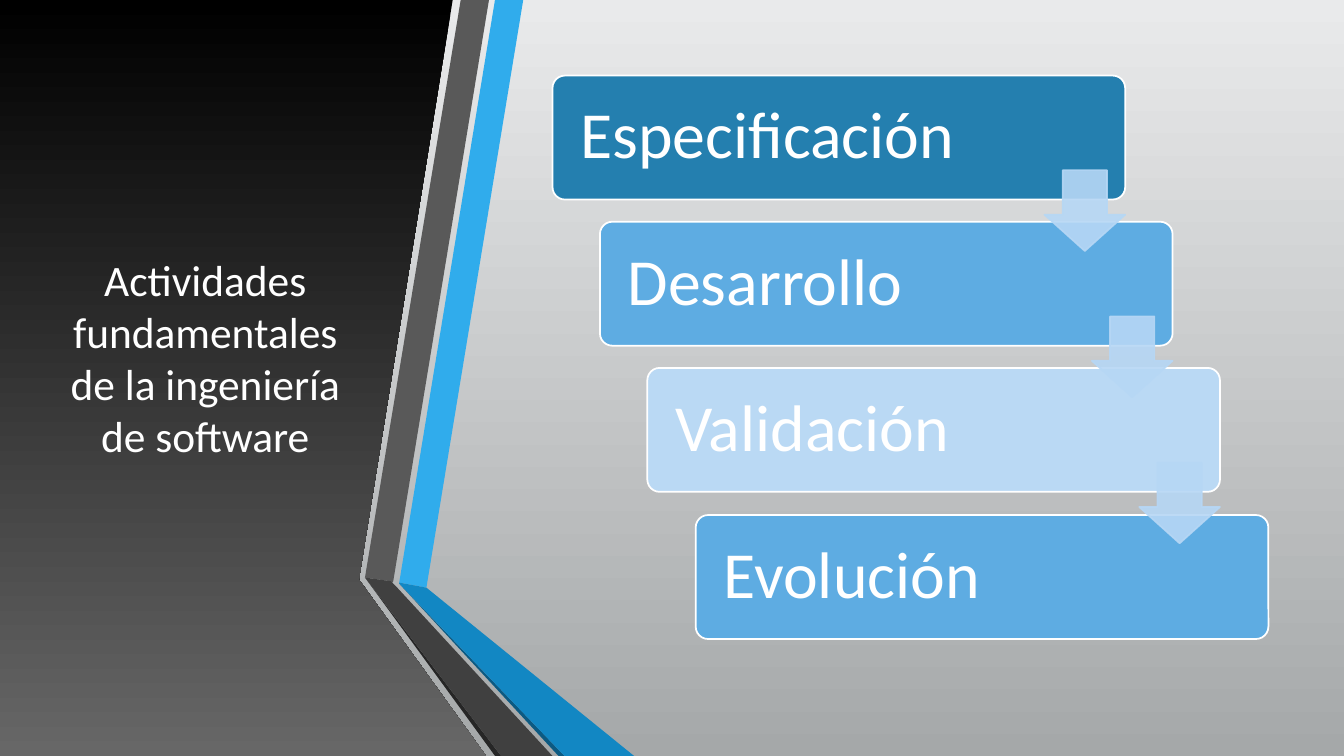
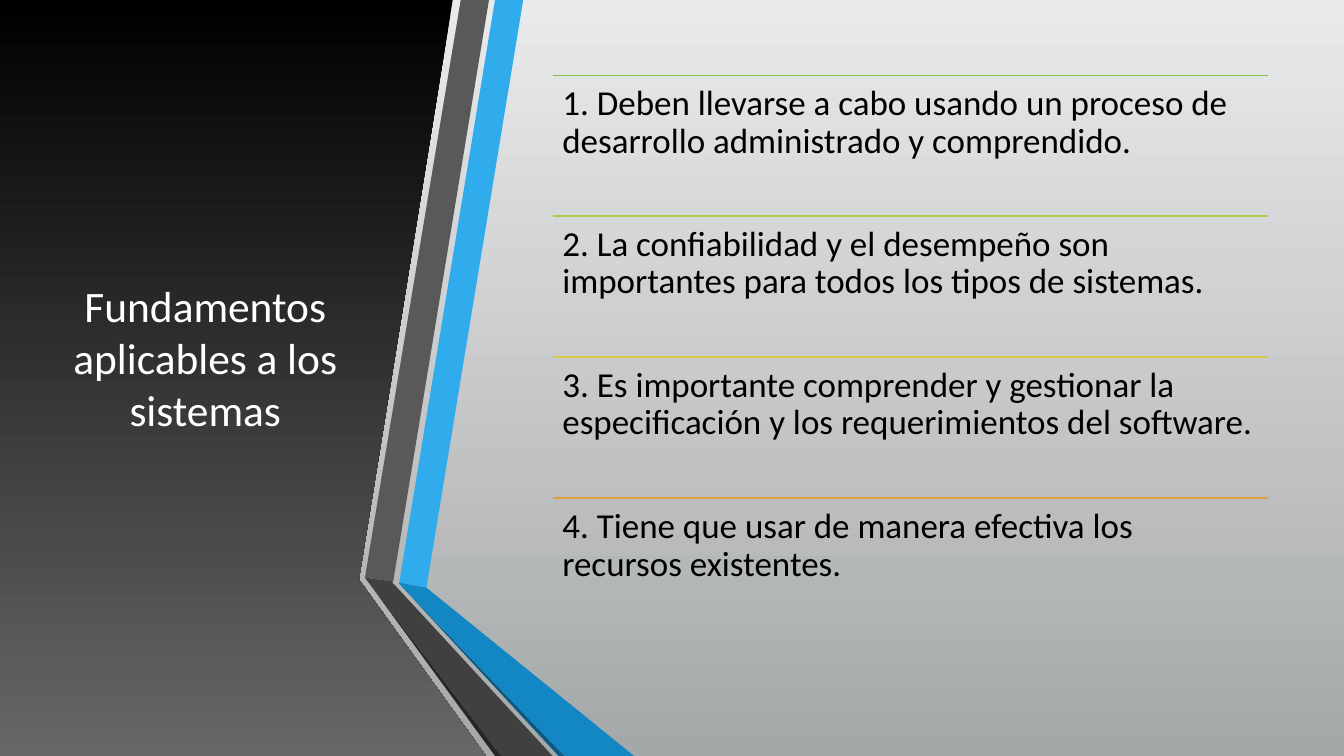
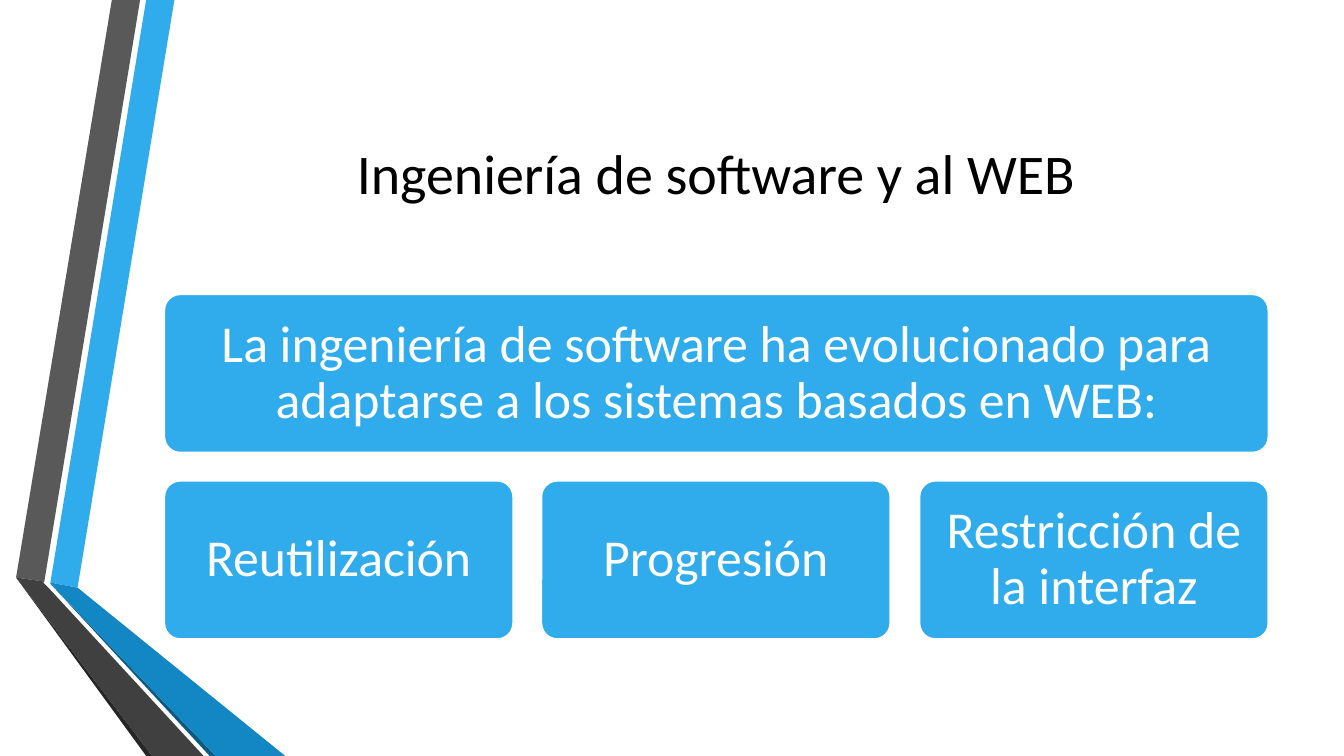
import pptx
import pptx.util
import pptx.dml.color
import pptx.enum.shapes
import pptx.enum.text
import pptx.oxml.ns
import lxml.etree

PX = 9144
FONT = "Calibri"
HUES = {
    "white": "FFFFFF", "black": "000000", "pale": "E9EAEB", "grey": "A5A8A9",
    "smoke": "676767", "sky": "30ACEC", "iron": "595959", "coal": "262626",
    "navy": "0C5A82", "blue": "1287C3", "slate": "404040", "deep": "247FAF",
    "mid": "5EACE2", "light": "BAD9F4", "arrow": "B6D7F5", "green": "80C34F",
    "lime": "ADCE49", "gold": "D8CB43", "amber": "E29D3E",
}
BANDS = [
    ("sky", [(50, 578), (77, 583), (173, 0), (145, 0)]),
    ("iron", [(139, 0), (111, 0), (16, 573), (44, 577)]),
    ("coal", [(16, 573), (145, 750), (151, 750)]),
    ("navy", [(50, 579), (208, 750), (214, 750)]),
    ("blue", [(50, 579), (214, 750), (283, 750), (77, 583), (50, 578)]),
    ("slate", [(202, 750), (48, 583), (43, 578), (44, 577), (16, 573), (151, 750)]),
]
PANEL = [(0, 0), (449, 0), (356, 575), (482, 750), (0, 750)]
TITLES = [
    ("Actividades fundamentales de la ingeniería de software", 31, "white", (59, 75, 289, 558)),
    ("Fundamentos aplicables a los sistemas", 31, "white", (59, 75, 289, 558)),
    ("Ingeniería de software y al WEB", 40, "black", (162, 75, 1096, 192)),
]
STEPS = [("Especificación", "deep"), ("Desarrollo", "mid"),
         ("Validación", "light"), ("Evolución", "mid")]
RULES = [
    ("1. Deben llevarse a cabo usando un proceso de desarrollo administrado y comprendido.", "green"),
    ("2. La confiabilidad y el desempeño son importantes para todos los tipos de sistemas.", "lime"),
    ("3. Es importante comprender y gestionar la especificación y los requerimientos del software.", "gold"),
    ("4. Tiene que usar de manera efectiva los recursos existentes.", "amber"),
]
CARDS = [("La ingeniería de software ha evolucionado para adaptarse a los sistemas basados en WEB:",
          (163, 292, 1095, 157))]
for i, word in enumerate(["Reutilización", "Progresión", "Restricción de la interfaz"]):
    CARDS.append((word, (163 + i * 749 // 2, 477, 346, 157)))

KIND = pptx.enum.shapes.MSO_SHAPE
ALIGN = pptx.enum.text.PP_ALIGN
ANCHOR = pptx.enum.text.MSO_ANCHOR
RGB = pptx.dml.color.RGBColor.from_string


def paint(shape, hue, edge=None):
    shape.shadow.inherit = False
    shape.fill.solid()
    shape.fill.fore_color.rgb = RGB(HUES[hue])
    if edge:
        shape.line.color.rgb = RGB(HUES[edge])
        shape.line.width = pptx.util.Pt(1.25)
    else:
        shape.line.fill.background()


def write(shape, text, size, hue, align, anchor, pad, space):
    frame = shape.text_frame
    frame.word_wrap = True
    frame.vertical_anchor = anchor
    frame.margin_left = frame.margin_right = pad * PX
    frame.margin_top = frame.margin_bottom = pad * PX
    para = frame.paragraphs[0]
    para.alignment = align
    para.line_spacing = space
    run = para.add_run()
    run.text = text
    run.font.name = FONT
    run.font.size = pptx.util.Pt(size)
    run.font.color.rgb = RGB(HUES[hue])


deck = pptx.Presentation()
deck.slide_width = 1333 * PX
deck.slide_height = 750 * PX
pages = []

for text, size, hue, box in TITLES:
    page = deck.slides.add_slide(deck.slide_layouts[6])
    pages.append(page)
    shift = 0
    fills = []
    if hue == "white":
        shift = 346
        form = page.shapes.build_freeform(*PANEL[0], scale=PX)
        form.add_line_segments(PANEL[1:])
        panel = form.convert_to_shape()
        paint(panel, "black")
        fills = [(page.background.fill, "pale", "grey"), (panel.fill, "black", "smoke")]
    for fill, top, base in fills:
        fill.gradient()
        fill.gradient_angle = 270
        for stop, tone in zip(fill.gradient_stops, (top, base)):
            stop.color.rgb = RGB(HUES[tone])
    for tone, dots in BANDS:
        moved = [(x + shift, y) for x, y in dots]
        form = page.shapes.build_freeform(*moved[0], scale=PX)
        form.add_line_segments(moved[1:])
        paint(form.convert_to_shape(), tone)
    title = page.shapes.add_textbox(*[n * PX for n in box])
    write(title, text, size, hue, ALIGN.CENTER, ANCHOR.MIDDLE, 10, 1.0)

spots = [(548 + i * 142 // 3, 75 + i * 436 // 3) for i in range(len(STEPS))]
for (text, hue), (x, y) in zip(STEPS, spots):
    step = pages[0].shapes.add_shape(KIND.ROUNDED_RECTANGLE, x * PX, y * PX, 568 * PX, 123 * PX)
    step.adjustments[0] = 0.1
    paint(step, hue, "white")
    write(step, text, 47, "white", ALIGN.LEFT, ANCHOR.MIDDLE, 24, 0.9)
for x, y in spots[:-1]:
    arrow = pages[0].shapes.add_shape(KIND.DOWN_ARROW, (x + 488) * PX, (y + 94) * PX, 80 * PX, 80 * PX)
    arrow.adjustments[0] = 0.55
    arrow.adjustments[1] = 0.45
    paint(arrow, "arrow", "arrow")
    for tint in arrow._element.spPr.iter(pptx.oxml.ns.qn("a:srgbClr")):
        lxml.etree.SubElement(tint, pptx.oxml.ns.qn("a:alpha"), val="90000")

for i, (text, hue) in enumerate(RULES):
    y = 75 + i * 419 // 3
    rule = pages[1].shapes.add_connector(
        pptx.enum.shapes.MSO_CONNECTOR.STRAIGHT, 548 * PX, y * PX, 1258 * PX, y * PX)
    rule.line.color.rgb = RGB(HUES[hue])
    rule.line.width = pptx.util.Pt(1.25)
    lxml.etree.SubElement(rule._element.spPr, pptx.oxml.ns.qn("a:effectLst"))
    note = pages[1].shapes.add_textbox(548 * PX, y * PX, 710 * PX, 140 * PX)
    write(note, text, 25, "black", ALIGN.LEFT, ANCHOR.TOP, 10, 0.9)

for text, box in CARDS:
    card = pages[2].shapes.add_shape(KIND.ROUNDED_RECTANGLE, *[n * PX for n in box])
    card.adjustments[0] = 0.1
    paint(card, "sky", "white")
    write(card, text, 37, "white", ALIGN.CENTER, ANCHOR.MIDDLE, 19, 0.9)

deck.save("out.pptx")
